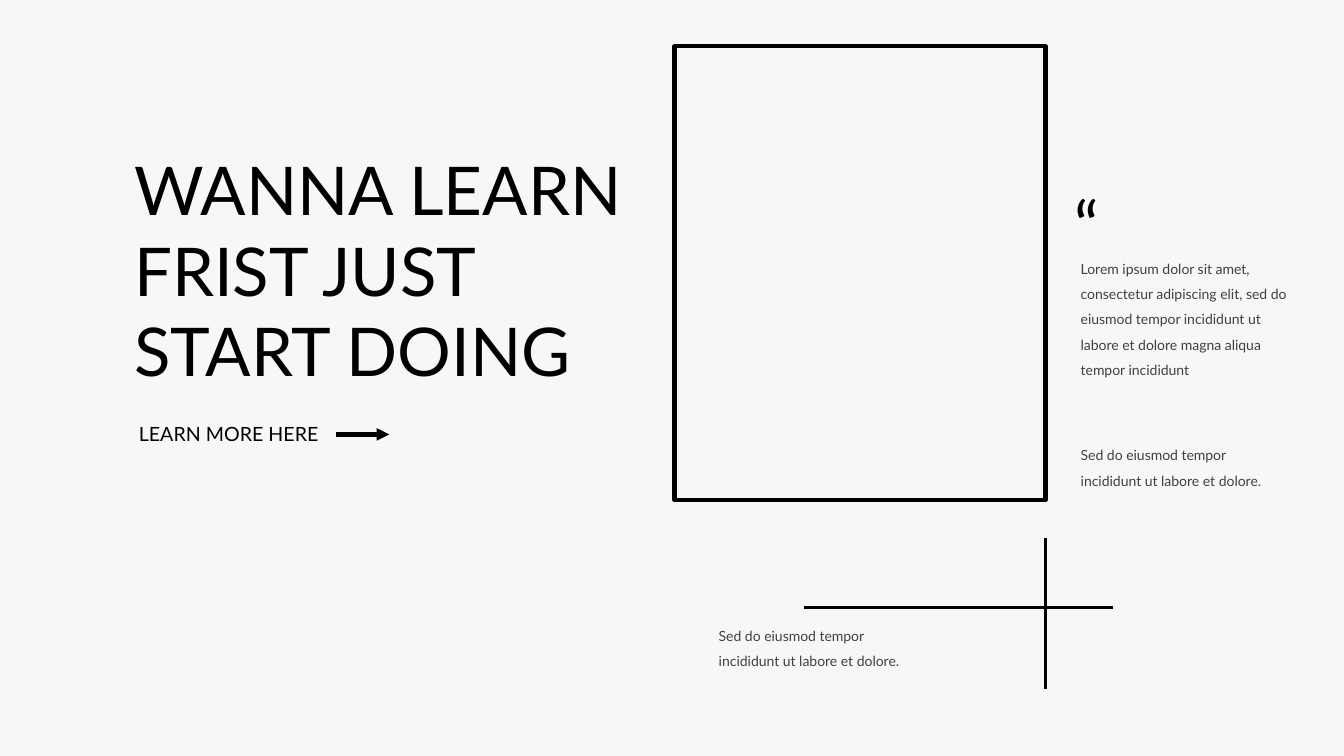
import pptx
import pptx.util
import pptx.dml.color
import pptx.enum.shapes
import pptx.enum.text
import pptx.oxml.xmlchemy

Inches = pptx.util.Inches
ALIGN = pptx.enum.text.PP_ALIGN
BLACK = pptx.dml.color.RGBColor(0x00, 0x00, 0x00)
GRAY = pptx.dml.color.RGBColor(0x40, 0x40, 0x40)
PAPER = pptx.dml.color.RGBColor(0xF7, 0xF7, 0xF7)
SHORT_NOTE = "Sed do eiusmod tempor incididunt ut labore et dolore."
LONG_NOTE = (
    "Lorem ipsum dolor sit amet, consectetur adipiscing elit, sed do eiusmod "
    "tempor incididunt ut labore et dolore magna aliqua tempor incididunt"
)


def set_values(target, values):
    """Set every attribute of the target named in the dict."""
    for attribute, value in values.items():
        setattr(target, attribute, value)


def fill_text(holder, lines, size, color=BLACK, align=ALIGN.LEFT, spacing=1.0):
    """Write the lines into the holder, one paragraph each."""
    frame = holder.text_frame
    set_values(frame, {
        "text": "\n".join(lines),
        "word_wrap": True,
        "auto_size": pptx.enum.text.MSO_AUTO_SIZE.NONE,
        "vertical_anchor": pptx.enum.text.MSO_ANCHOR.TOP,
    })
    for paragraph in frame.paragraphs:
        set_values(paragraph, {"alignment": align, "line_spacing": spacing})
        set_values(paragraph.font, {"name": "Lato", "size": pptx.util.Pt(size)})
        paragraph.font.color.rgb = color


def add_text(slide, left, top, width, height, text, size, **style):
    """Add a text box with one paragraph."""
    box = slide.shapes.add_textbox(
        Inches(left), Inches(top), Inches(width), Inches(height))
    fill_text(box, [text], size, **style)


def add_note(slide, left, top, height, text):
    """Add a small gray note with open line spacing."""
    add_text(slide, left, top, 2.25, height, text, 10, color=GRAY, spacing=1.5)


def add_line(shapes, x1, y1, x2, y2, weight):
    """Add a straight black line without a shadow."""
    line = shapes.add_connector(
        pptx.enum.shapes.MSO_CONNECTOR.STRAIGHT,
        Inches(x1), Inches(y1), Inches(x2), Inches(y2))
    line.line.color.rgb = BLACK
    line.line.width = pptx.util.Pt(weight)
    line._element.spPr.append(pptx.oxml.xmlchemy.OxmlElement("a:effectLst"))
    return line


def build_headline(slide, left, top, width):
    """Place the title and, below it, the call to action with its arrow."""
    title = slide.shapes.title
    set_values(title, {
        "left": Inches(left), "top": Inches(top),
        "width": Inches(width), "height": Inches(2.52),
    })
    fill_text(title, ["WANNA LEARN", "FRIST JUST", "START DOING"], 48)
    arrow_y = top + 2.89
    arrow = add_line(slide.shapes, left + 2.1, arrow_y, left + 2.63, arrow_y, 3)
    head = pptx.oxml.xmlchemy.OxmlElement("a:tailEnd")
    head.set("type", "triangle")
    arrow.line._get_or_add_ln().append(head)
    add_text(slide, left, top + 2.72, 2.03, 0.34, "LEARN MORE HERE", 14,
             align=ALIGN.RIGHT)


def build_quote(slide, left, top):
    """Place the quotation mark and the two notes under it."""
    add_text(slide, left - 0.06, top, 0.48, 0.91, "“", 48)
    add_note(slide, left, top + 0.68, 1.33, LONG_NOTE)
    add_note(slide, left, top + 2.53, 0.57, SHORT_NOTE)


def build_cross(slide, left, top, width, height):
    """Place the crossing lines and the note below their left arm."""
    add_note(slide, left - 0.94, top + 0.75, 0.57, SHORT_NOTE)
    cross = slide.shapes.add_group_shape().shapes
    add_line(cross, left, top + 0.69, left + width, top + 0.69, 2)
    add_line(cross, left + 2.4, top, left + 2.4, top + height, 2)


def build_frame(slide, left, top, width, height):
    """Place the empty outlined frame."""
    frame = slide.shapes.add_shape(
        pptx.enum.shapes.MSO_SHAPE.RECTANGLE,
        Inches(left), Inches(top), Inches(width), Inches(height))
    frame.shadow.inherit = False
    frame.fill.background()
    frame.line.color.rgb = BLACK
    frame.line.width = pptx.util.Pt(3)


def main():
    """Build the slide and save it."""
    deck = pptx.Presentation()
    set_values(deck, {"slide_width": Inches(13.33), "slide_height": Inches(7.5)})
    slide = deck.slides.add_slide(deck.slide_layouts[5])
    slide.background.fill.solid()
    slide.background.fill.fore_color.rgb = PAPER
    build_headline(slide, 1.23, 1.42, 5.26)
    build_quote(slide, 10.62, 1.77)
    build_cross(slide, 7.97, 5.34, 3.07, 1.5)
    build_frame(slide, 6.69, 0.46, 3.68, 4.5)
    deck.save("out.pptx")


if __name__ == "__main__":
    main()
